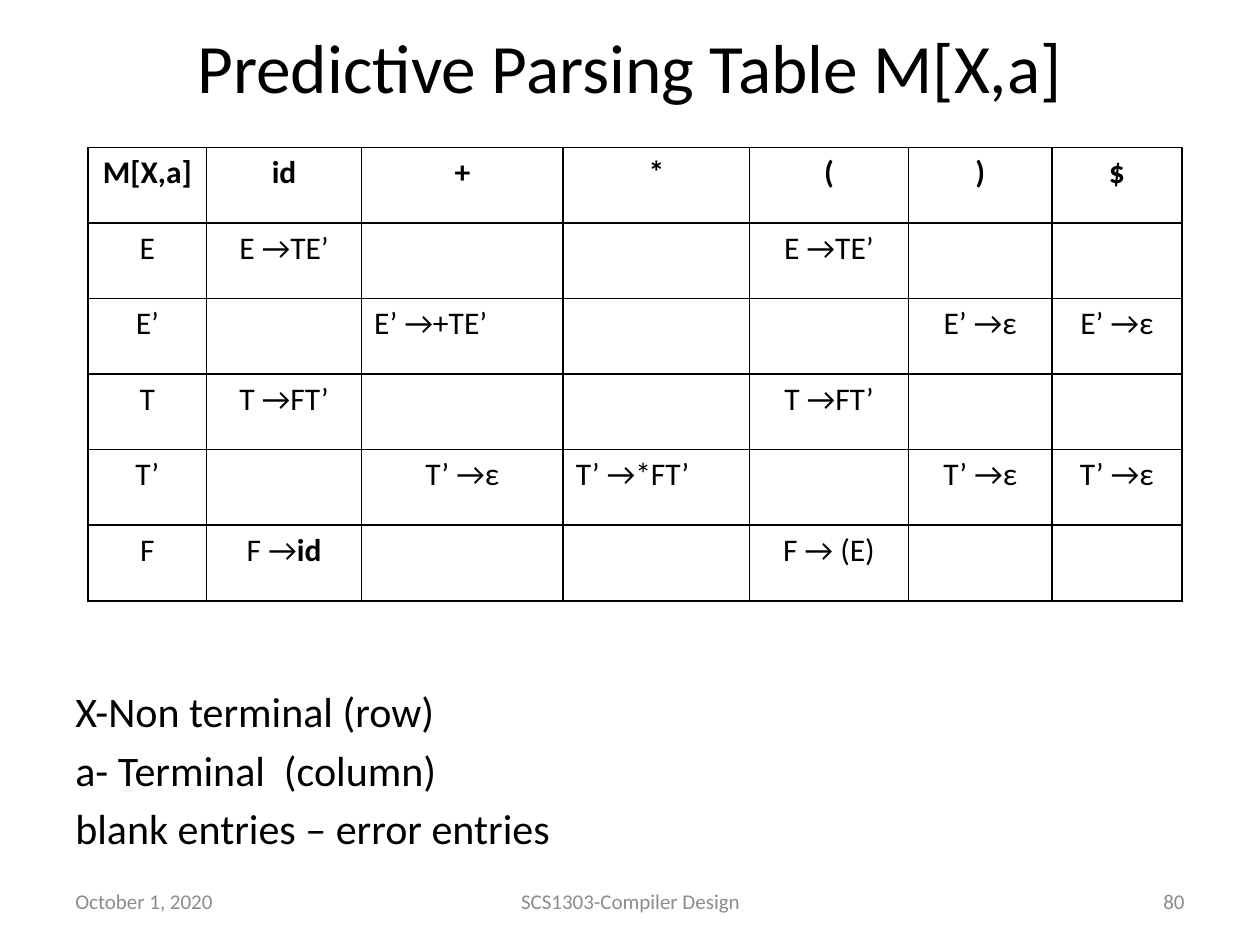
from dataclasses import dataclass

from lxml.etree import SubElement
from pptx import Presentation
from pptx.dml.color import RGBColor
from pptx.enum.text import MSO_ANCHOR, PP_ALIGN
from pptx.oxml.ns import qn
from pptx.util import Inches, Pt


@dataclass(frozen=True)
class Theme:
    """Colours and type sizes of the slide."""
    font: str = "Calibri"
    ink: str = "000000"
    muted: str = "8C8C8C"
    paper: str = "FFFFFF"
    title: float = 39.6
    body: float = 24
    cell: float = 18
    footer: float = 12
    border: float = 1


@dataclass(frozen=True)
class Label:
    """A text box with its place and look."""
    lines: tuple[str, ...]
    box: tuple[float, float, float, float]
    size: float
    color: str
    align: PP_ALIGN = PP_ALIGN.LEFT
    anchor: MSO_ANCHOR = MSO_ANCHOR.MIDDLE


@dataclass(frozen=True)
class Entry:
    """A table cell's plain text, bold text and alignment."""
    text: str = ""
    bold: str = ""
    align: PP_ALIGN = PP_ALIGN.CENTER


THEME = Theme()
LABELS = (
    Label(("Predictive Parsing Table M[X,a]",), (0.5, 0.16, 9, 0.72),
          THEME.title, THEME.ink, PP_ALIGN.CENTER),
    Label(("X-Non terminal (row)", "a- Terminal  (column)", "blank entries – error entries"),
          (0.5, 5.39, 9, 1.45), THEME.body, THEME.ink, anchor=MSO_ANCHOR.TOP),
    Label(("October 1, 2020",), (0.5, 6.95, 2.33, 0.4), THEME.footer, THEME.muted),
    Label(("SCS1303-Compiler Design",), (3.42, 6.95, 3.17, 0.4),
          THEME.footer, THEME.muted, PP_ALIGN.CENTER),
    Label(("80",), (7.17, 6.95, 2.33, 0.4), THEME.footer, THEME.muted, PP_ALIGN.RIGHT),
)
TERMINALS = ("id", "+", "*", "(", ")", "$")
PRODUCTIONS = {
    "E": {"id": Entry("E →TE’"), "(": Entry("E →TE’")},
    "E’": {"+": Entry("E’ →+TE’", align=PP_ALIGN.LEFT),
           ")": Entry("E’ →ε"), "$": Entry("E’ →ε")},
    "T": {"id": Entry("T →FT’"), "(": Entry("T →FT’")},
    "T’": {"+": Entry("T’ →ε"), "*": Entry("T’ →*FT’", align=PP_ALIGN.LEFT),
           ")": Entry("T’ →ε"), "$": Entry("T’ →ε")},
    "F": {"id": Entry("F →", "id"), "(": Entry("F → (E)")},
}
COL_WIDTHS = (0.94, 1.23, 1.6, 1.48, 1.26, 1.14, 1.03)
ROW_HEIGHT = 0.6


def add_run(p, text: str, size: float, color: str, bold: bool = False) -> None:
    """Append a formatted run."""
    r = p.add_run()
    r.text = text
    for name, value in {"name": THEME.font, "size": Pt(size), "bold": bold}.items():
        setattr(r.font, name, value)
    r.font.color.rgb = RGBColor.from_string(color)


def add_label(s, label: Label) -> None:
    """Draw a text box, one paragraph per line."""
    tf = s.shapes.add_textbox(*map(Inches, label.box)).text_frame
    tf.word_wrap = True
    tf.vertical_anchor = label.anchor
    for i, line in enumerate(label.lines):
        p = tf.paragraphs[0] if i == 0 else tf.add_paragraph()
        p.alignment = label.align
        if i:
            p.space_before = Pt(label.size * 0.2)
        add_run(p, line, label.size, label.color)


def set_borders(cell) -> None:
    """Put a solid line on each side of a cell."""
    props = cell._tc.get_or_add_tcPr()
    for i, side in enumerate(("lnL", "lnR", "lnT", "lnB")):
        ln = props.makeelement(qn(f"a:{side}"), {"w": str(Pt(THEME.border))})
        props.insert(i, ln)
        SubElement(SubElement(ln, qn("a:solidFill")), qn("a:srgbClr"), val=THEME.ink)


def fill_cell(cell, entry: Entry) -> None:
    """Write an entry into a bordered cell."""
    cell.fill.solid()
    cell.fill.fore_color.rgb = RGBColor.from_string(THEME.paper)
    set_borders(cell)
    p = cell.text_frame.paragraphs[0]
    p.alignment = entry.align
    for text, bold in ((entry.text, False), (entry.bold, True)):
        if text:
            add_run(p, text, THEME.cell, THEME.ink, bold)


def add_parsing_table(s) -> None:
    """Draw the grid of nonterminals against terminals."""
    rows = [[Entry(bold=t) for t in ("M[X,a]", *TERMINALS)]]
    for head, found in PRODUCTIONS.items():
        rows.append([Entry(head), *(found.get(t, Entry()) for t in TERMINALS)])
    table = s.shapes.add_table(
        len(rows), len(COL_WIDTHS), Inches(0.7), Inches(1.17),
        Inches(sum(COL_WIDTHS)), Inches(ROW_HEIGHT * len(rows))).table
    for name in ("first_row", "horz_banding"):
        setattr(table, name, False)
    for col, width in zip(table.columns, COL_WIDTHS):
        col.width = Inches(width)
    for i, row in enumerate(rows):
        for j, entry in enumerate(row):
            fill_cell(table.cell(i, j), entry)


def main() -> None:
    """Build and save the slide."""
    prs = Presentation()
    prs.slide_width, prs.slide_height = Inches(10), Inches(7.5)
    s = prs.slides.add_slide(prs.slide_layouts[6])
    add_parsing_table(s)
    for label in LABELS:
        add_label(s, label)
    prs.save("out.pptx")


if __name__ == "__main__":
    main()
